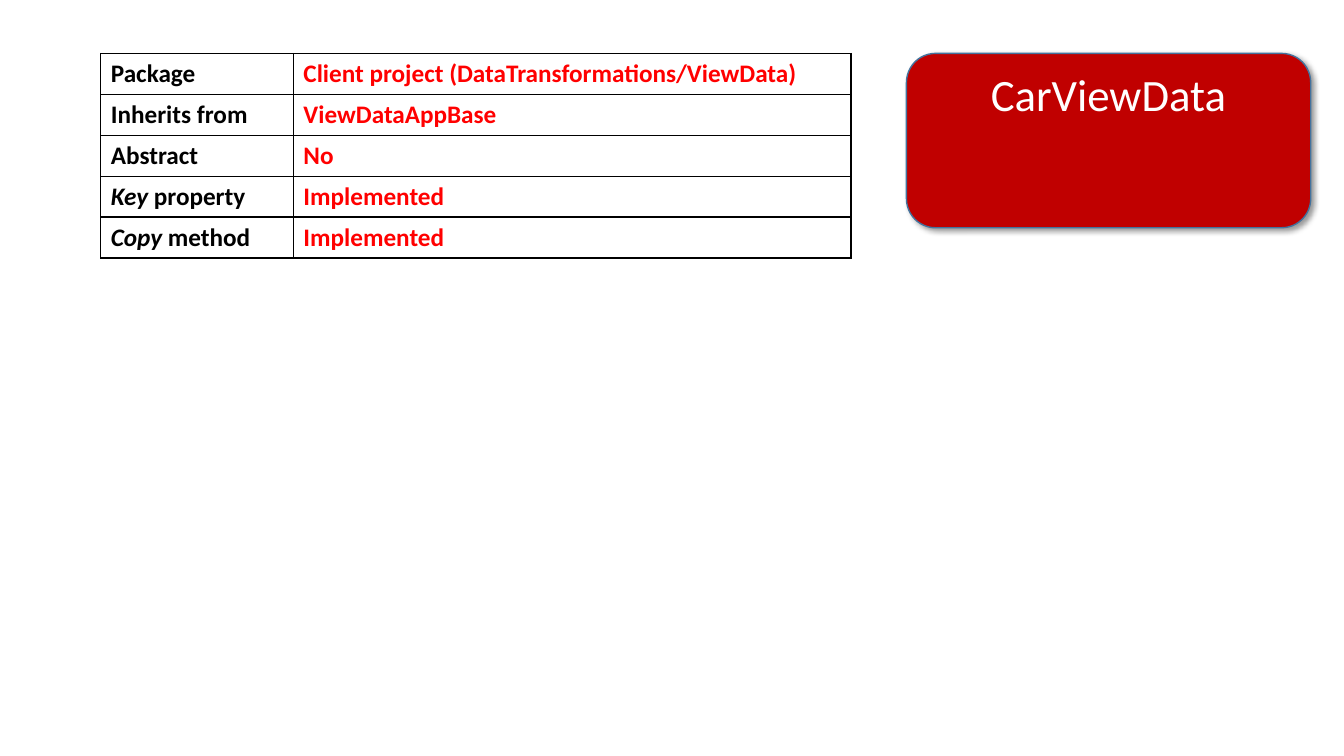
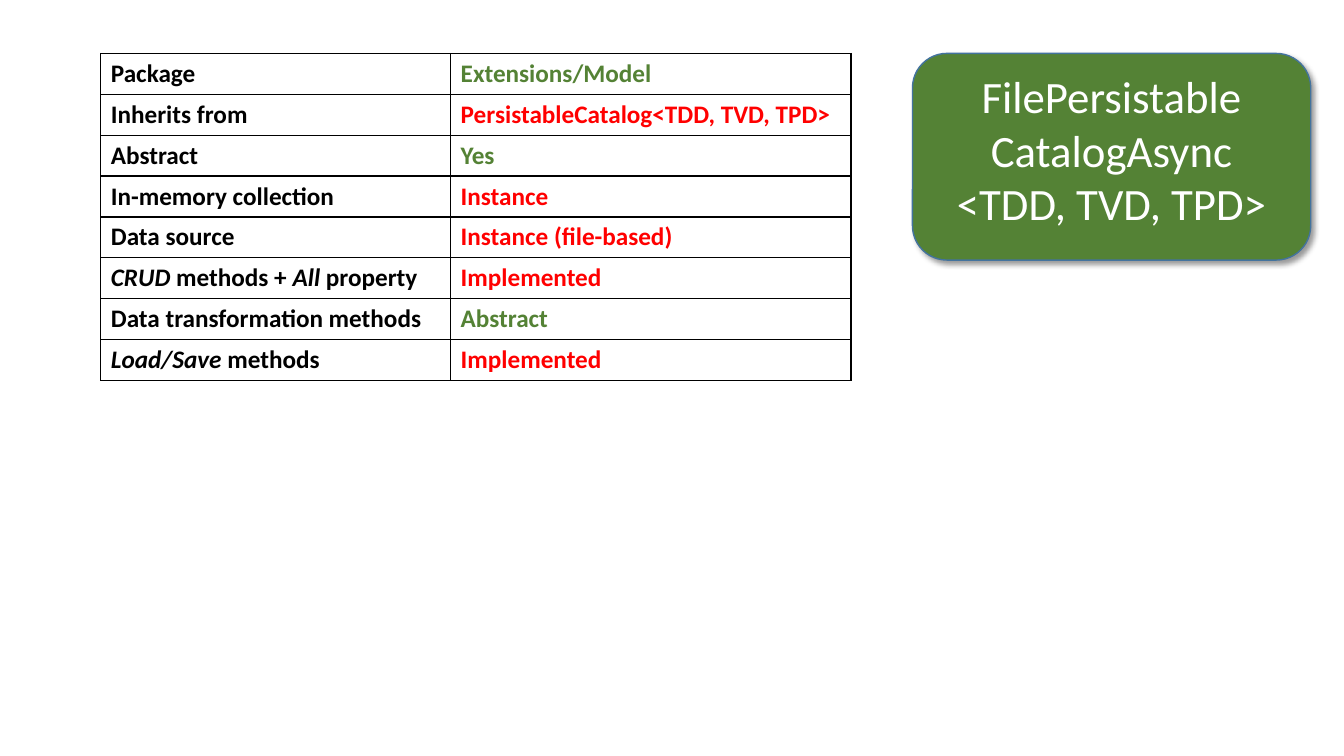
from lxml import etree
from pptx import Presentation
from pptx.dml.color import RGBColor
from pptx.enum import shapes, text
from pptx.oxml import ns, parse_xml
from pptx.util import Inches, Pt

# Shared look
FONT = "Calibri"
BLACK = RGBColor(0x00, 0x00, 0x00)
WHITE = RGBColor(0xFF, 0xFF, 0xFF)
RED = RGBColor(0xFF, 0x00, 0x00)
DARK = RGBColor(0xC0, 0x00, 0x00)
GREEN = RGBColor(0x54, 0x82, 0x35)
BLUE = RGBColor(0x43, 0x73, 0x9E)

TOP = 0.53
LEFT, WIDTH = 1, 7.44
RIGHT = 13

# Each row: label, value, value colour; *stars* mark italics
CAR = [
    ("Package", "Client project (DataTransformations/ViewData)", RED),
    ("Inherits from", "ViewDataAppBase", RED),
    ("Abstract", "No", RED),
    ("*Key* property", "Implemented", RED),
    ("*Copy* method", "Implemented", RED),
]
FILE = [
    ("Package", "Extensions/Model", GREEN),
    ("Inherits from", "PersistableCatalog<TDD, TVD, TPD>", RED),
    ("Abstract", "Yes", GREEN),
    ("In-memory collection", "Instance", RED),
    ("Data source", "Instance (file-based)", RED),
    ("*CRUD* methods + *All* property", "Implemented", RED),
    ("Data transformation methods", "Abstract", GREEN),
    ("*Load/Save* methods", "Implemented", RED),
]


def style(font, size, color, bold=False):
    font.name, font.size, font.bold = FONT, Pt(size), bold
    font.color.rgb = color


def add_shadow(shape):
    shape.shadow.inherit = False
    effects = shape._element.spPr.find(ns.qn("a:effectLst"))
    effects.append(parse_xml(
        f'<a:outerShdw {ns.nsdecls("a")} blurRad="{Pt(4)}" dist="{Pt(3)}" '
        'dir="2700000" algn="tl" rotWithShape="0"><a:srgbClr val="000000">'
        '<a:alpha val="40000"/></a:srgbClr></a:outerShdw>'))


def add_borders(cell):
    props = cell._tc.get_or_add_tcPr()
    for side in ("lnL", "lnR", "lnT", "lnB"):
        line = etree.SubElement(props, ns.qn("a:" + side), w=str(Pt(1)))
        fill = etree.SubElement(line, ns.qn("a:solidFill"))
        etree.SubElement(fill, ns.qn("a:srgbClr"), val=str(BLACK))


def fill_cell(cell, words, color):
    add_borders(cell)
    cell.fill.background()
    para = cell.text_frame.paragraphs[0]
    for i, part in enumerate(words.split("*")):
        if part:
            run = para.add_run()
            run.text = part
            style(run.font, 18, color, bold=True)
            run.font.italic = i % 2 == 1


# Table of class properties
def add_facts(slide, rows, split, height):
    table = slide.shapes.add_table(
        len(rows), 2, Inches(LEFT), Inches(TOP), Inches(WIDTH),
        Inches(height)).table
    table.first_row = table.horz_banding = False
    table.columns[0].width = Inches(split)
    table.columns[1].width = Inches(WIDTH - split)
    for r, (label, value, color) in enumerate(rows):
        fill_cell(table.cell(r, 0), label, BLACK)
        fill_cell(table.cell(r, 1), value, color)


# Rounded box with the class name, flush with the right margin
def add_class(slide, name, fill, width, height):
    box = slide.shapes.add_shape(
        shapes.MSO_SHAPE.ROUNDED_RECTANGLE, Inches(RIGHT - width),
        Inches(TOP), Inches(width), Inches(height))
    box.fill.solid()
    box.fill.fore_color.rgb = fill
    box.line.color.rgb = BLUE
    box.line.width = Pt(1)
    add_shadow(box)
    frame = box.text_frame
    frame.vertical_anchor = text.MSO_ANCHOR.TOP
    frame.text = name
    for para in frame.paragraphs:
        para.alignment = text.PP_ALIGN.CENTER
        for run in para.runs:
            style(run.font, 32, WHITE)


def main():
    deck = Presentation()
    deck.slide_width, deck.slide_height = Inches(13.33), Inches(7.5)
    blank = deck.slide_layouts[6]

    car = deck.slides.add_slide(blank)
    add_class(car, "CarViewData", DARK, 4.01, 1.73)
    add_facts(car, CAR, 1.91, 2.03)

    file = deck.slides.add_slide(blank)
    add_class(file, "FilePersistable\nCatalogAsync\n<TDD, TVD, TPD>",
              GREEN, 3.95, 2.05)
    add_facts(file, FILE, 3.47, 3.24)

    deck.save("out.pptx")


if __name__ == "__main__":
    main()
